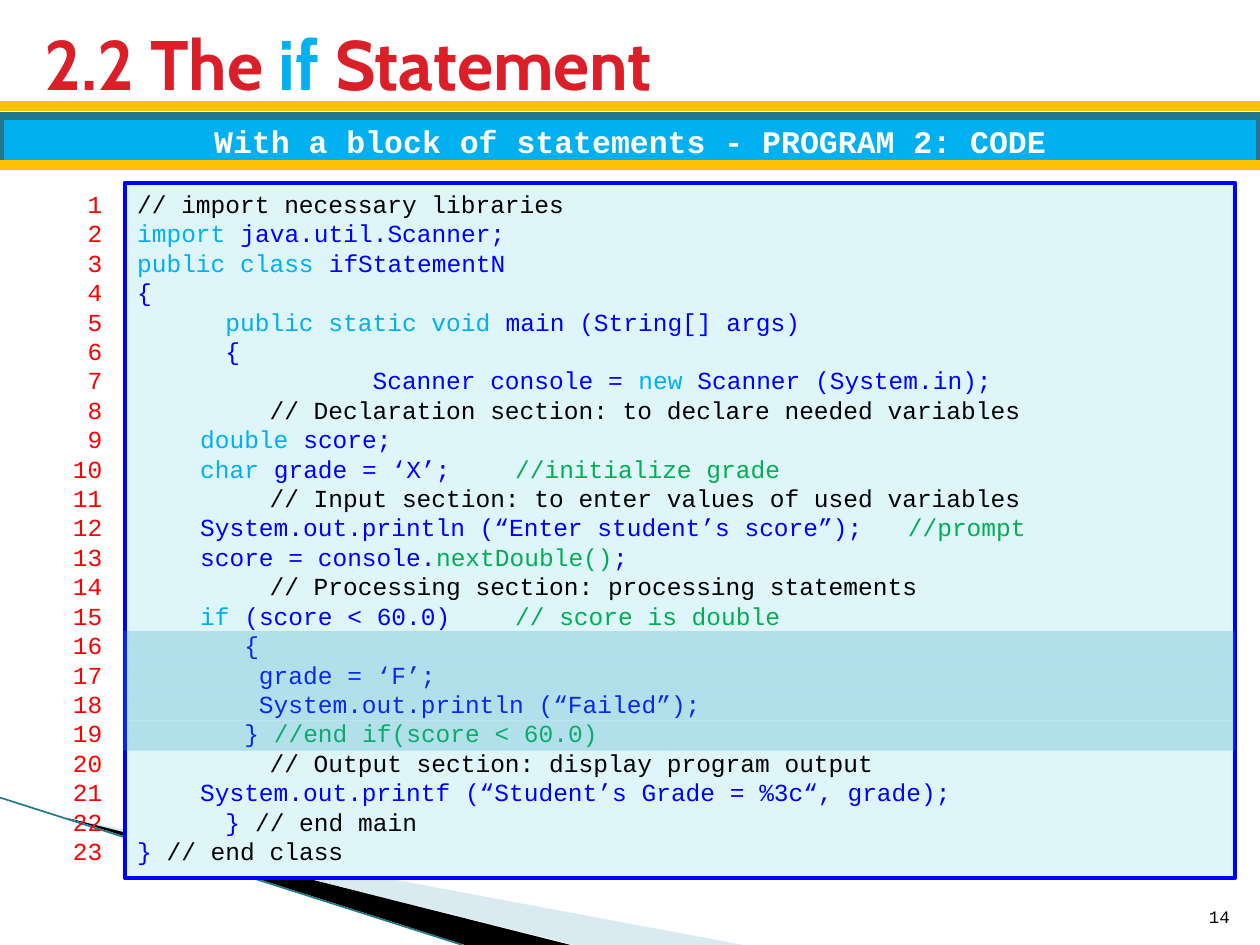
"""Build a slide that shows a Java program with an if block."""
from dataclasses import dataclass
from typing import NamedTuple, Optional

import pptx
import pptx.dml.color
import pptx.enum.shapes
import pptx.enum.text
import pptx.oxml.ns
import pptx.oxml.xmlchemy
import pptx.util

COLS, ROWS = 100, 75
KIND = pptx.enum.shapes.MSO_SHAPE
ALIGN = pptx.enum.text.PP_ALIGN
ANCHOR = pptx.enum.text.MSO_ANCHOR
FIT = pptx.enum.text.MSO_AUTO_SIZE


@dataclass(frozen=True)
class Theme:
    """Colours, fonts and type sizes."""
    red: str = "DA1F28"
    sky: str = "00B0F0"
    gold: str = "FFC000"
    teal: str = "21788D"
    shade: str = "2DA2BF"
    mist: str = "A0CBDC"
    panel: str = "DEF5FA"
    blue: str = "0000FF"
    green: str = "00B050"
    black: str = "000000"
    white: str = "FFFFFF"
    count: str = "FF0000"
    head: str = "Cabin"
    mono: str = "Courier New"
    title: int = 40
    sub: int = 18
    code: int = 14
    page: int = 10


class Box(NamedTuple):
    """A place in columns and rows of the grid."""
    x: float
    y: float
    w: float
    h: float


class Bit(NamedTuple):
    """A run of text and its colour."""
    text: str
    tint: str


class Font(NamedTuple):
    """A typeface, its size and its weight."""
    name: str
    size: int
    bold: bool = False


T = Theme()
CODE = Font(T.mono, T.code)


def key(text: str) -> Bit:
    return Bit(text, T.sky)


def std(text: str) -> Bit:
    return Bit(text, T.blue)


def note(text: str) -> Bit:
    return Bit(text, T.black)


def hint(text: str) -> Bit:
    return Bit(text, T.green)


PROGRAM = [
    [note("// import necessary libraries")],
    [key("import "), std("java.util.Scanner;")],
    [key("public class "), std("ifStatementN")],
    [std("{")],
    [key("      public static void"), std(" main (String[] args)")],
    [std("      {")],
    [std("                Scanner console = "), key("new"), std(" Scanner (System.in);")],
    [note("         // Declaration section: to declare needed variables")],
    [key("\tdouble"), std(" score;")],
    [key("\tchar"), std(" grade = ‘X’;\t\t"), hint("//initialize grade")],
    [note("         // Input section: to enter values of used variables")],
    [std("\tSystem.out.println (“Enter student’s score”);   "), hint("//prompt")],
    [std("\tscore = console."), hint("nextDouble()"), std(";")],
    [note("         // Processing section: processing statements")],
    [key("\tif"), std(" (score < 60.0)\t\t"), hint("// score is double")],
    [std("\t   {")],
    [std("\t    grade = ‘F’;")],
    [std("\t    System.out.println (“Failed”);")],
    [std("\t   } "), hint("//end if(score < 60.0)")],
    [note("         // Output section: display program output")],
    [std("\tSystem.out.printf (“Student’s Grade = %3c“, grade);")],
    [std("      } "), note("// end main")],
    [std("} "), note("// end class")],
]
PANEL = Box(9.9, 14.5, 88.1, 55.2)
BAND = Box(9.8, 50.1, 88.2, 2.37)
BLOCK = 4


def unit(n: float) -> int:
    """Turn grid steps into a length; columns and rows are square."""
    return pptx.util.Inches(10 * n / COLS)


def rgb(tint: str) -> pptx.dml.color.RGBColor:
    return pptx.dml.color.RGBColor.from_string(tint)


def paint(shape, fill: str, alpha: int = 100, line: Optional[str] = None, width: float = 1) -> None:
    """Set the fill, its opacity and the outline."""
    shape.shadow.inherit = False
    shape.fill.solid()
    shape.fill.fore_color.rgb = rgb(fill)
    if alpha < 100:
        tone = shape._element.spPr.find(".//" + pptx.oxml.ns.qn("a:srgbClr"))
        node = pptx.oxml.xmlchemy.OxmlElement("a:alpha")
        node.set("val", str(alpha * 1000))
        tone.append(node)
    if line:
        shape.line.color.rgb = rgb(line)
        shape.line.width = pptx.util.Pt(width)
    else:
        shape.line.fill.background()


def rect(shapes, box: Box, fill: str, **look):
    """Add a painted rectangle."""
    shape = shapes.add_shape(KIND.RECTANGLE, *map(unit, box))
    paint(shape, fill, **look)
    return shape


def rule(shapes, start: tuple, end: tuple, tint: str, width: float) -> None:
    """Add a straight line."""
    line = shapes.add_connector(
        pptx.enum.shapes.MSO_CONNECTOR.STRAIGHT, *map(unit, start + end))
    line.line.color.rgb = rgb(tint)
    line.line.width = pptx.util.Pt(width)
    line._element.spPr.append(pptx.oxml.xmlchemy.OxmlElement("a:effectLst"))


def wedge(shapes, points: list, fill: str, alpha: int = 100) -> None:
    """Add a closed outline."""
    first, *rest = [tuple(map(unit, point)) for point in points]
    form = shapes.build_freeform(*first)
    form.add_line_segments(rest)
    paint(form.convert_to_shape(), fill, alpha)


def write(shape, lines: list, font: Font, align=ALIGN.LEFT, anchor=ANCHOR.TOP, fit=FIT.NONE) -> None:
    """Fill a shape with lines of runs."""
    frame = shape.text_frame
    frame.word_wrap = True
    frame.auto_size = fit
    frame.vertical_anchor = anchor
    for i, line in enumerate(lines):
        para = frame.add_paragraph() if i else frame.paragraphs[0]
        para.alignment = align
        for bit in line:
            run = para.add_run()
            run.text = bit.text
            run.font.name = font.name
            run.font.size = pptx.util.Pt(font.size)
            run.font.bold = font.bold
            run.font.color.rgb = rgb(bit.tint)


def main() -> None:
    deck = pptx.Presentation()
    deck.slide_width, deck.slide_height = unit(COLS), unit(ROWS)
    shapes = deck.slides.add_slide(deck.slide_layouts[5]).shapes

    title = shapes.title
    title.left, title.top, title.width, title.height = map(unit, Box(2.5, 1.7, 94.7, 6.5))
    write(title, [[Bit("2.2 The ", T.red), key("if "), Bit("Statement", T.red)]],
          Font(T.head, T.title, True), anchor=ANCHOR.MIDDLE)

    wedge(shapes, [(5.5, 65), (59, ROWS), (45.6, ROWS)], T.mist, 40)
    wedge(shapes, [(5.3, 64.9), (45.3, ROWS), (36.9, ROWS)], T.black)
    rule(shapes, (0, 63.3), (36.7, ROWS), T.teal, 0.95)

    banner = rect(shapes, Box(0, 9.2, COLS, 3.9), T.sky, line=T.teal, width=4.33)
    write(banner, [[Bit("With a block of statements - PROGRAM 2: CODE", T.white)]],
          Font(T.mono, T.sub, True), ALIGN.CENTER, ANCHOR.MIDDLE)
    for y in (8.4, 13.1):
        rule(shapes, (0, y), (COLS, y), T.gold, 6)

    group = shapes.add_group_shape().shapes
    panel = rect(group, PANEL, T.panel, line=T.blue, width=2.25)
    write(panel, PROGRAM, CODE, fit=FIT.SHAPE_TO_FIT_TEXT)
    count = group.add_textbox(*map(unit, PANEL._replace(x=2, w=7.1)))
    digits = [[Bit(str(n), T.count)] for n in range(1, len(PROGRAM) + 1)]
    write(count, digits, CODE, ALIGN.RIGHT, fit=FIT.SHAPE_TO_FIT_TEXT)

    page = shapes.add_textbox(*map(unit, Box(94.6, 70.1, 4, 4)))
    write(page, [[note("14")]], Font(T.mono, T.page), ALIGN.RIGHT, ANCHOR.BOTTOM)
    for i in range(BLOCK):
        rect(shapes, BAND._replace(y=BAND.y + i * BAND.h), T.shade, alpha=25)
    deck.save("out.pptx")


if __name__ == "__main__":
    main()
